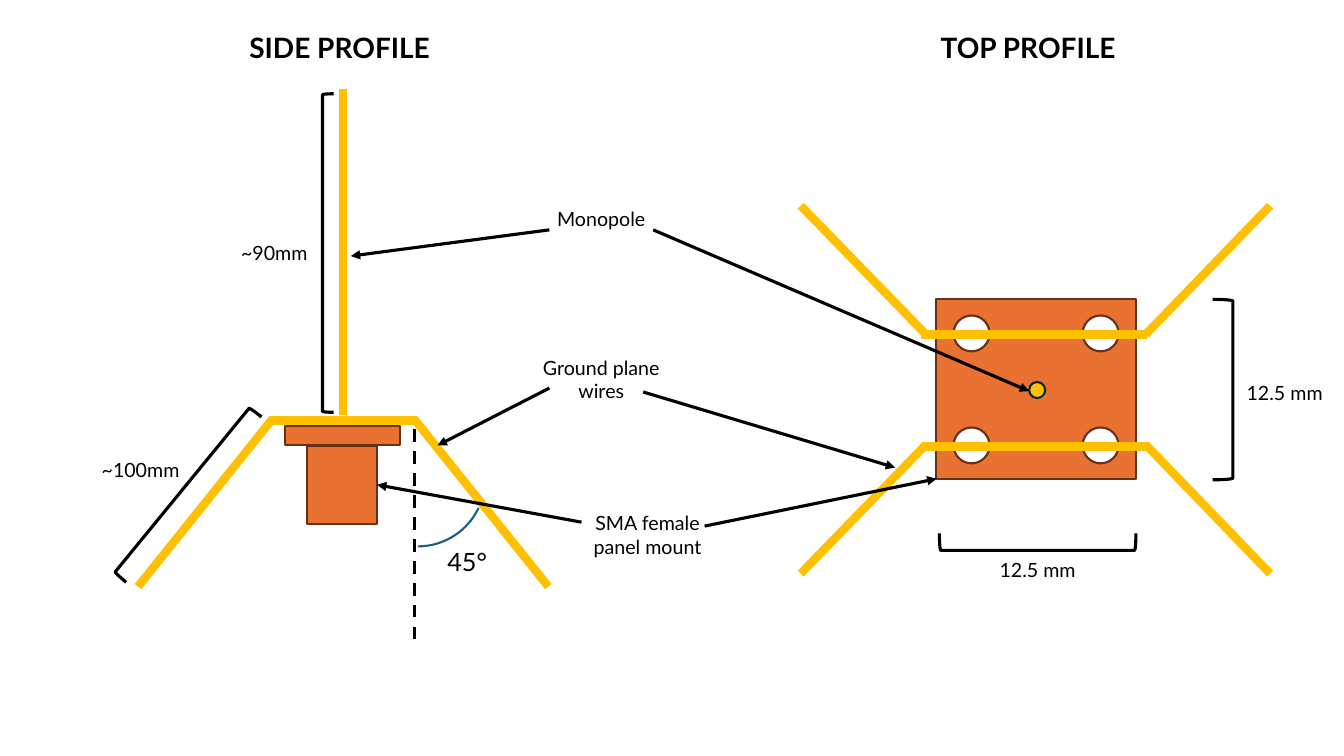
from dataclasses import dataclass
from math import cos, pi, sin

from lxml.etree import SubElement
from pptx import Presentation
from pptx.dml.color import RGBColor
from pptx.enum.dml import MSO_LINE
from pptx.enum.shapes import MSO_CONNECTOR, MSO_SHAPE
from pptx.enum.text import MSO_ANCHOR, MSO_AUTO_SIZE, PP_ALIGN
from pptx.oxml.ns import qn
from pptx.util import Pt


@dataclass(frozen=True)
class Theme:
    """Colours, font and sizes of the antenna drawing."""
    ink: str = "000000"
    copper: str = "E97132"
    copper_edge: str = "663216"
    wire: str = "FFC000"
    pin_edge: str = "092A39"
    angle: str = "156082"
    font: str = "Lato"
    heading_size: float = 20
    angle_size: float = 18
    label_size: float = 14
    wire_width: float = 6
    line_width: float = 2.25
    edge_width: float = 1.5


THEME = Theme()


def points(values):
    """Turn plain numbers into lengths in points."""
    return [Pt(value) for value in values]


def set_line(line, color, width):
    """Give a line its colour and width."""
    line.color.rgb = RGBColor.from_string(color)
    line.width = Pt(width)


def paint(shape, fill, edge, width):
    """Set a shape's fill and outline and drop its shadow."""
    shape.shadow.inherit = False
    if fill:
        shape.fill.solid()
        shape.fill.fore_color.rgb = RGBColor.from_string(fill)
    else:
        shape.fill.background()
    set_line(shape.line, edge, width)


def write_text(shape, text, size, alignment, bold=False):
    """Write one formatted paragraph into a shape."""
    frame = shape.text_frame
    frame.text = text
    frame.word_wrap = True
    frame.auto_size = MSO_AUTO_SIZE.NONE
    frame.vertical_anchor = MSO_ANCHOR.TOP
    paragraph = frame.paragraphs[0]
    paragraph.alignment = alignment
    paragraph.line_spacing = 1.0
    paragraph.space_before = Pt(0)
    font = paragraph.runs[0].font
    font.name = THEME.font
    font.size = Pt(size)
    font.bold = bold
    font.color.rgb = RGBColor.from_string(THEME.ink)


def add_heading(placeholder, text, left):
    """Move a placeholder above its view and fill it."""
    placeholder.left, placeholder.top, placeholder.width, placeholder.height = points(
        (left, 18.2, 154, 31.5))
    write_text(placeholder, text, THEME.heading_size, PP_ALIGN.CENTER, True)


def add_label(slide, text, box, alignment, size=THEME.label_size):
    """Add a text label."""
    write_text(slide.shapes.add_textbox(*points(box)), text, size, alignment)


def add_part(slide, kind, box, fill, edge):
    """Add a preset shape with a thin outline."""
    part = slide.shapes.add_shape(kind, *points(box))
    paint(part, fill, edge, THEME.edge_width)
    return part


def add_bracket(slide, box, rotation=0):
    """Add a dimension bracket."""
    bracket = slide.shapes.add_shape(MSO_SHAPE.LEFT_BRACKET, *points(box))
    paint(bracket, None, THEME.ink, THEME.line_width)
    bracket.rotation = rotation


def add_straight(slide, ends, color, width):
    """Add a straight connector without a shadow."""
    connector = slide.shapes.add_connector(MSO_CONNECTOR.STRAIGHT, *points(ends))
    set_line(connector.line, color, width)
    SubElement(connector._element.spPr, qn("a:effectLst"))
    return connector


def add_wire(slide, ends):
    """Add a thick antenna wire."""
    add_straight(slide, ends, THEME.wire, THEME.wire_width)


def add_arrow(slide, ends):
    """Add a leader arrow pointing at its end."""
    arrow = add_straight(slide, ends, THEME.ink, THEME.line_width)
    SubElement(arrow.line._get_or_add_ln(), qn("a:tailEnd"), type="triangle")
    return arrow


def add_command(outline, name, positions):
    """Append a drawing command with its positions in points."""
    command = SubElement(outline, qn(name))
    for x, y in positions:
        SubElement(command, qn("a:pt"), x=str(Pt(x)), y=str(Pt(y)))


def cut_hole(outline, center_x, center_y, radius):
    """Cut a round hole made of four curves into an outline."""
    handle = 0.5523
    add_command(outline, "a:moveTo", [(center_x + radius, center_y)])
    for quarter in range(4):
        along, across = cos(quarter * pi / 2), sin(quarter * pi / 2)
        corners = ((1, handle), (handle, 1), (0, 1))
        add_command(outline, "a:cubicBezTo",
                    [(center_x + radius * (u * along - v * across),
                      center_y + radius * (u * across + v * along)) for u, v in corners])
    SubElement(outline, qn("a:close"))


def add_panel(slide):
    """Add the square mounting panel with its four holes."""
    left, top, right, bottom = 668.9, 213.8, 811.4, 342.2
    builder = slide.shapes.build_freeform(Pt(left), Pt(top))
    builder.add_line_segments(
        [points(corner) for corner in ((right, top), (right, bottom), (left, bottom))])
    panel = builder.convert_to_shape()
    outline = next(panel._element.iter(qn("a:path")))
    for x in (694, 786.2):
        for y in (238.2, 318.2):
            cut_hole(outline, x - left, y - top, 12.8)
    paint(panel, THEME.copper, THEME.copper_edge, THEME.edge_width)


def draw_side_view(slide):
    """Draw the side profile and return the connector socket."""
    add_part(slide, MSO_SHAPE.RECTANGLE, (203.8, 304.5, 82, 13.7),
             THEME.copper, THEME.copper_edge)
    socket = add_part(slide, MSO_SHAPE.RECTANGLE, (219.6, 318.2, 49.7, 56.2),
                      THEME.copper, THEME.copper_edge)
    for ends in ((192.2, 300.5, 298, 300.5), (296, 299.5, 391.7, 419),
                 (194.4, 299.5, 98.6, 419), (244.8, 63.4, 244.8, 296.6)):
        add_wire(slide, ends)
    arc = add_part(slide, MSO_SHAPE.ARC, (250.6, 294.5, 95.8, 95.8), None, THEME.angle)
    arc.adjustments[0] = 177.14
    arc.rotation = 90
    plumb_line = add_straight(slide, (296, 306.7, 296, 458), THEME.ink, THEME.line_width)
    plumb_line.line.dash_style = MSO_LINE.DASH
    add_bracket(slide, (230.4, 67, 8, 227.5))
    add_bracket(slide, (128.9, 277.2, 10.8, 152.6), 39.3)
    add_label(slide, "45°", (312.5, 386.6, 80, 29), PP_ALIGN.LEFT, THEME.angle_size)
    add_label(slide, "~90mm", (146.9, 168.5, 80, 24.5), PP_ALIGN.RIGHT)
    add_label(slide, "~100mm", (55.4, 323.3, 80, 24.5), PP_ALIGN.RIGHT)
    return socket


def draw_top_view(slide):
    """Draw the top profile."""
    add_panel(slide)
    add_part(slide, MSO_SHAPE.OVAL, (735.1, 272.9, 11.5, 11.5), THEME.wire, THEME.pin_edge)
    for bend_y, wire_y, tip_y, wire_left in ((239, 239, 147, 658), (317.5, 319, 409.7, 659.5)):
        add_wire(slide, (wire_left, wire_y, wire_left + 161.3, wire_y))
        for bend_x, tip_x in ((661.5, 572), (818.3, 907.2)):
            add_wire(slide, (bend_x, bend_y, tip_x, tip_y))
    add_bracket(slide, (735.1, 316.8, 12.2, 140.4), 270)
    add_bracket(slide, (866.2, 213.8, 14.4, 128.9), 180)
    for left, top in ((695.5, 395.3), (872, 268.6)):
        add_label(slide, "12.5 mm", (left, top, 80, 24.5), PP_ALIGN.RIGHT)


def draw_callouts(slide, socket):
    """Name the parts and point at them in both views."""
    for text, left, top, height in (("Monopole", 375.1, 144, 24.5),
                                    ("Ground plane wires", 375.1, 250.6, 41),
                                    ("SMA female panel mount", 408.2, 361.4, 41)):
        add_label(slide, text, (left, top, 108.7, height), PP_ALIGN.CENTER)
    for ends in ((392.4, 164.2, 250.6, 182.9), (466.6, 164.2, 735.1, 279.4),
                 (392.4, 277.2, 312.5, 318.2), (459.4, 280, 639.4, 334),
                 (503.3, 375.8, 669, 342)):
        add_arrow(slide, ends)
    add_arrow(slide, (415.4, 373, 269.3, 346.3)).end_connect(socket, 3)


def main():
    """Build and save the antenna slide."""
    presentation = Presentation()
    presentation.slide_width, presentation.slide_height = points((960, 540))
    slide = presentation.slides.add_slide(presentation.slide_layouts.get_by_name("Comparison"))
    headings = {0: ("SIDE PROFILE", 165.6), 3: ("TOP PROFILE", 657.4)}
    for placeholder in list(slide.placeholders):
        heading = headings.get(placeholder.placeholder_format.idx)
        if heading:
            add_heading(placeholder, *heading)
        else:
            placeholder.element.getparent().remove(placeholder.element)
    socket = draw_side_view(slide)
    draw_top_view(slide)
    draw_callouts(slide, socket)
    presentation.save("out.pptx")


if __name__ == "__main__":
    main()
